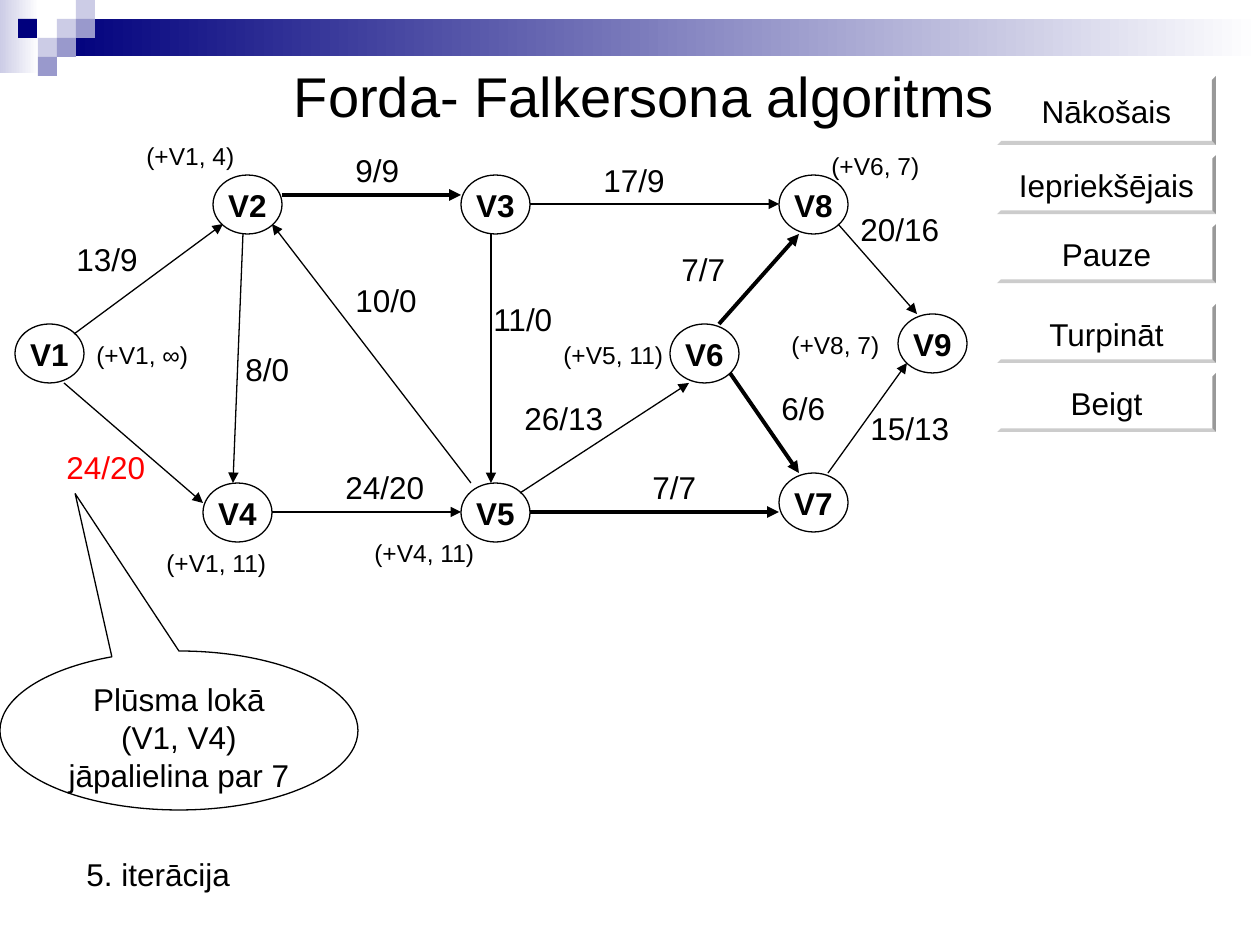
from lxml.etree import SubElement
from pptx import Presentation
from pptx.dml.color import RGBColor
from pptx.enum.shapes import MSO_CONNECTOR, MSO_SHAPE
from pptx.enum.text import MSO_ANCHOR, PP_ALIGN
from pptx.oxml.ns import qn
from pptx.util import Emu, Pt

BLACK, WHITE, RED = "000000", "FFFFFF", "FF0000"
NAVY, LILAC, VIOLET = "00007D", "CCCCE6", "9999CC"


def px(*lengths):
    return [Emu(round(length * 914400 / 126)) for length in lengths]


def write(shape, text, size=18, color=BLACK, bold=False, align=PP_ALIGN.LEFT,
          anchor=MSO_ANCHOR.TOP, wrap=True):
    frame = shape.text_frame
    frame.text = text
    frame.word_wrap = wrap
    frame.vertical_anchor = anchor
    paragraph = frame.paragraphs[0]
    paragraph.alignment = align
    paragraph.font.name = "Arial"
    paragraph.font.size = Pt(size)
    paragraph.font.bold = bold
    paragraph.font.color.rgb = RGBColor.from_string(color)


prs = Presentation()
prs.slide_width, prs.slide_height = px(1260, 945)
slide = prs.slides.add_slide(prs.slide_layouts[5])
shapes = slide.shapes

title = shapes.title
title.left, title.top, title.width, title.height = px(223, 55, 843, 81)
write(title, "Forda- Falkersona algoritms", 32, align=PP_ALIGN.CENTER)

for left, top, width, height, start in [(0, 0, 39, 73, LILAC), (57, 19, 1203, 37, NAVY)]:
    band = shapes.add_shape(MSO_SHAPE.RECTANGLE, *px(left, top, width, height))
    band.shadow.inherit = False
    band.line.fill.background()
    band.fill.gradient()
    band.fill.gradient_angle = 0
    for stop, position, color in zip(band.fill.gradient_stops, (0, 1), (start, WHITE)):
        stop.position = position
        stop.color.rgb = RGBColor.from_string(color)

for left, top, color in [
    (57, 19, LILAC), (76, 0, LILAC), (76, 19, VIOLET), (38, 38, LILAC),
    (18, 19, NAVY), (57, 38, VIOLET), (38, 57, VIOLET),
]:
    square = shapes.add_shape(MSO_SHAPE.RECTANGLE, *px(left, top, 19, 19))
    square.shadow.inherit = False
    square.line.fill.background()
    square.fill.solid()
    square.fill.fore_color.rgb = RGBColor.from_string(color)

for caption, top, height in [
    ("Nākošais", 76, 69), ("Iepriekšējais", 155, 59), ("Pauze", 224, 59),
    ("Turpināt", 304, 59), ("Beigt", 373, 59),
]:
    button = shapes.add_shape(MSO_SHAPE.BEVEL, *px(997, top, 219, height))
    button.adjustments[0] = 0.06
    button.shadow.inherit = False
    button.line.fill.background()
    button.fill.solid()
    button.fill.fore_color.rgb = RGBColor.from_string(WHITE)
    write(button, caption, align=PP_ALIGN.CENTER, anchor=MSO_ANCHOR.MIDDLE, wrap=False)

for vertex, left, top in [
    ("V1", 15, 324), ("V2", 213, 175), ("V3", 461, 175), ("V4", 203, 483), ("V5", 461, 483),
    ("V6", 670, 324), ("V7", 779, 473), ("V8", 779, 175), ("V9", 898, 314),
]:
    node = shapes.add_shape(MSO_SHAPE.OVAL, *px(left, top, 69, 59))
    node.shadow.inherit = False
    node.fill.solid()
    node.fill.fore_color.rgb = RGBColor.from_string(WHITE)
    node.line.color.rgb = RGBColor.from_string(BLACK)
    node.line.width = Pt(0.75)
    write(node, vertex, bold=True, align=PP_ALIGN.CENTER, anchor=MSO_ANCHOR.MIDDLE, wrap=False)

THIN, THICK = 0.75, 2.25
edges = [
    ((74, 334, 223, 224), THIN, "13/9", (64, 234, 100), BLACK),
    ((64, 383, 203, 503), THIN, "24/20", (54, 442, 110), RED),
    ((282, 195, 461, 195), THICK, "9/9", (343, 145, 100), BLACK),
    ((272, 512, 461, 512), THIN, "24/20", (333, 462, 110), BLACK),
    ((520, 493, 689, 383), THIN, "26/13", (512, 393, 129), BLACK),
    ((243, 234, 233, 483), THIN, "8/0", (233, 344, 90), BLACK),
    ((471, 483, 272, 224), THIN, "10/0", (343, 275, 90), BLACK),
    ((491, 234, 491, 483), THIN, "11/0", (481, 294, 100), BLACK),
    ((530, 204, 779, 204), THIN, "17/9", (591, 155, 100), BLACK),
    ((719, 324, 799, 234), THICK, "7/7", (669, 244, 100), BLACK),
    ((730, 373, 799, 473), THICK, "6/6", (769, 383, 69), BLACK),
    ((530, 512, 779, 512), THICK, "7/7", (640, 462, 69), BLACK),
    ((828, 473, 907, 363), THIN, "15/13", (858, 403, 120), BLACK),
    ((838, 224, 917, 314), THIN, "20/16", (848, 204, 119), BLACK),
]
for ends, weight, flow, place, color in edges:
    arrow = shapes.add_connector(MSO_CONNECTOR.STRAIGHT, *px(*ends))
    arrow.line.color.rgb = RGBColor.from_string(BLACK)
    arrow.line.width = Pt(weight)
    SubElement(arrow.get_or_add_ln(), qn("a:tailEnd"), type="triangle")
    SubElement(arrow.element.spPr, qn("a:effectLst"))
    write(shapes.add_textbox(*px(*place, 50)), flow, color=color)

for mark, left, top in [
    ("(+V1, ∞)", 84, 334), ("(+V1, 4)", 134, 135), ("(+V1, 11)", 154, 542),
    ("(+V4, 11)", 362, 532), ("(+V5, 11)", 551, 334), ("(+V6, 7)", 819, 145),
    ("(+V8, 7)", 779, 324),
]:
    write(shapes.add_textbox(*px(left, top, 129, 43)), mark, 14)

callout = shapes.add_shape(MSO_SHAPE.OVAL_CALLOUT, *px(0, 651, 358, 159))
callout.adjustments[0] = -0.29
callout.adjustments[1] = -1.49
callout.shadow.inherit = False
callout.fill.solid()
callout.fill.fore_color.rgb = RGBColor.from_string(WHITE)
callout.line.color.rgb = RGBColor.from_string(BLACK)
callout.line.width = Pt(0.75)
write(callout, "Plūsma lokā (V1, V4) jāpalielina par 7", align=PP_ALIGN.CENTER)

write(shapes.add_textbox(*px(74, 849, 238, 50)), "5. iterācija")

prs.save("out.pptx")
